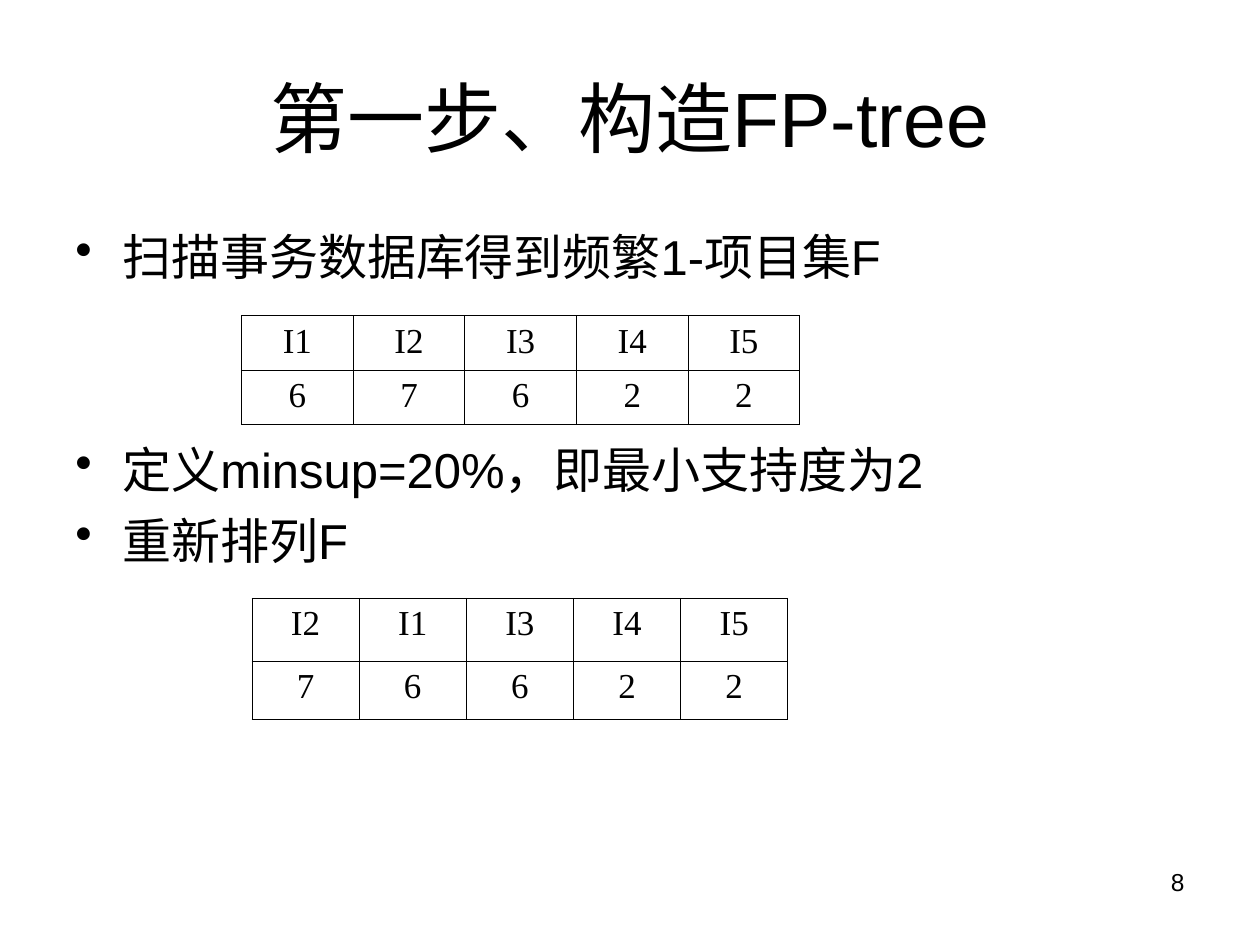
from lxml import etree
from pptx import Presentation
from pptx import util as u
from pptx.dml.color import RGBColor
from pptx.enum import text
from pptx.oxml.ns import qn

BLACK = "000000"
SANS, SERIF = "Arial", "Times New Roman"
HANGING = u.Cm(0.95)


def color(hex_value):
    """Return the colour for a hex string."""
    return RGBColor.from_string(hex_value)


def format_paragraph(paragraph, size, font_name, align):
    """Set the font and alignment of a paragraph."""
    paragraph.alignment = align
    font = paragraph.font
    font.size, font.name = u.Pt(size), font_name
    font.color.rgb = color(BLACK)


def place(shape, left, top, width, height):
    """Position a shape, with lengths in centimetres."""
    shape.left, shape.top = u.Cm(left), u.Cm(top)
    shape.width, shape.height = u.Cm(width), u.Cm(height)


def add_title(slide, wording):
    """Fill and format the title placeholder."""
    title = slide.shapes.title
    place(title, 1.27, 0.76, 22.86, 3.18)
    title.text_frame.text = wording
    title.text_frame.vertical_anchor = text.MSO_ANCHOR.MIDDLE
    format_paragraph(title.text_frame.paragraphs[0], 44, SANS, text.PP_ALIGN.CENTER)


def add_text_frame(slide, left, top, width, height):
    """Add a wrapping text box and return its frame."""
    box = slide.shapes.add_textbox(*map(u.Cm, (left, top, width, height)))
    box.text_frame.word_wrap = True
    return box.text_frame


def add_bullet(paragraph):
    """Give a paragraph a round bullet with a hanging indent."""
    properties = paragraph._p.get_or_add_pPr()
    properties.set("marL", str(HANGING))
    properties.set("indent", str(-HANGING))
    bullet = etree.Element(qn("a:buChar"), char="•")
    properties.insert_element_before(bullet, "a:tabLst", "a:defRPr", "a:extLst")


def add_steps(slide, steps):
    """Add the bulleted steps, each with its space before in points."""
    frame = add_text_frame(slide, 1.27, 4.45, 22.43, 12.57)
    for index, (wording, space_before) in enumerate(steps):
        paragraph = frame.add_paragraph() if index else frame.paragraphs[0]
        paragraph.text = wording
        paragraph.space_before = u.Pt(space_before)
        format_paragraph(paragraph, 28, SANS, text.PP_ALIGN.LEFT)
        add_bullet(paragraph)


def add_borders(cell):
    """Draw a thin line on all sides of a cell."""
    properties = cell._tc.get_or_add_tcPr()
    for position, side in enumerate(("lnL", "lnR", "lnT", "lnB")):
        line = etree.Element(qn(f"a:{side}"), w=str(u.Pt(0.45)))
        fill = etree.SubElement(line, qn("a:solidFill"))
        etree.SubElement(fill, qn("a:srgbClr"), val=BLACK)
        properties.insert(position, line)


def add_counts_table(slide, left, top, column_width, row_heights, counts):
    """Add a table of items above their support counts."""
    rows = list(zip(*counts))
    width = column_width * len(counts)
    frame = slide.shapes.add_table(
        len(rows), len(counts), *map(u.Cm, (left, top, width, sum(row_heights))))
    table = frame.table
    table.first_row = table.horz_banding = False
    for column in table.columns:
        column.width = u.Cm(column_width)
    for row, height, values in zip(table.rows, row_heights, rows):
        row.height = u.Cm(height)
        for cell, value in zip(row.cells, values):
            cell.text = str(value)
            format_paragraph(cell.text_frame.paragraphs[0], 20, SERIF, text.PP_ALIGN.CENTER)
            cell.fill.background()
            add_borders(cell)


def add_page_number(slide, number):
    """Add the page number at the lower right."""
    frame = add_text_frame(slide, 18.2, 17.35, 5.93, 1.32)
    frame.text = str(number)
    format_paragraph(frame.paragraphs[0], 14, SANS, text.PP_ALIGN.RIGHT)


def main():
    """Build the slide and save it."""
    deck = Presentation()
    deck.slide_width, deck.slide_height = u.Cm(25.4), u.Cm(19.05)
    slide = deck.slides.add_slide(deck.slide_layouts[5])

    add_title(slide, "第一步、构造FP-tree")
    add_steps(slide, [
        ("扫描事务数据库得到频繁1-项目集F", 7),
        ("定义minsup=20%，即最小支持度为2", 88),
        ("重新排列F", 7),
    ])

    counts = [("I1", 6), ("I2", 7), ("I3", 6), ("I4", 2), ("I5", 2)]
    by_count = sorted(counts, key=lambda item: -item[1])
    add_counts_table(slide, 4.87, 6.36, 2.25, (1.09, 1.09), counts)
    add_counts_table(slide, 5.08, 12.06, 2.16, (1.27, 1.17), by_count)

    add_page_number(slide, 8)
    deck.save("out.pptx")


if __name__ == "__main__":
    main()
